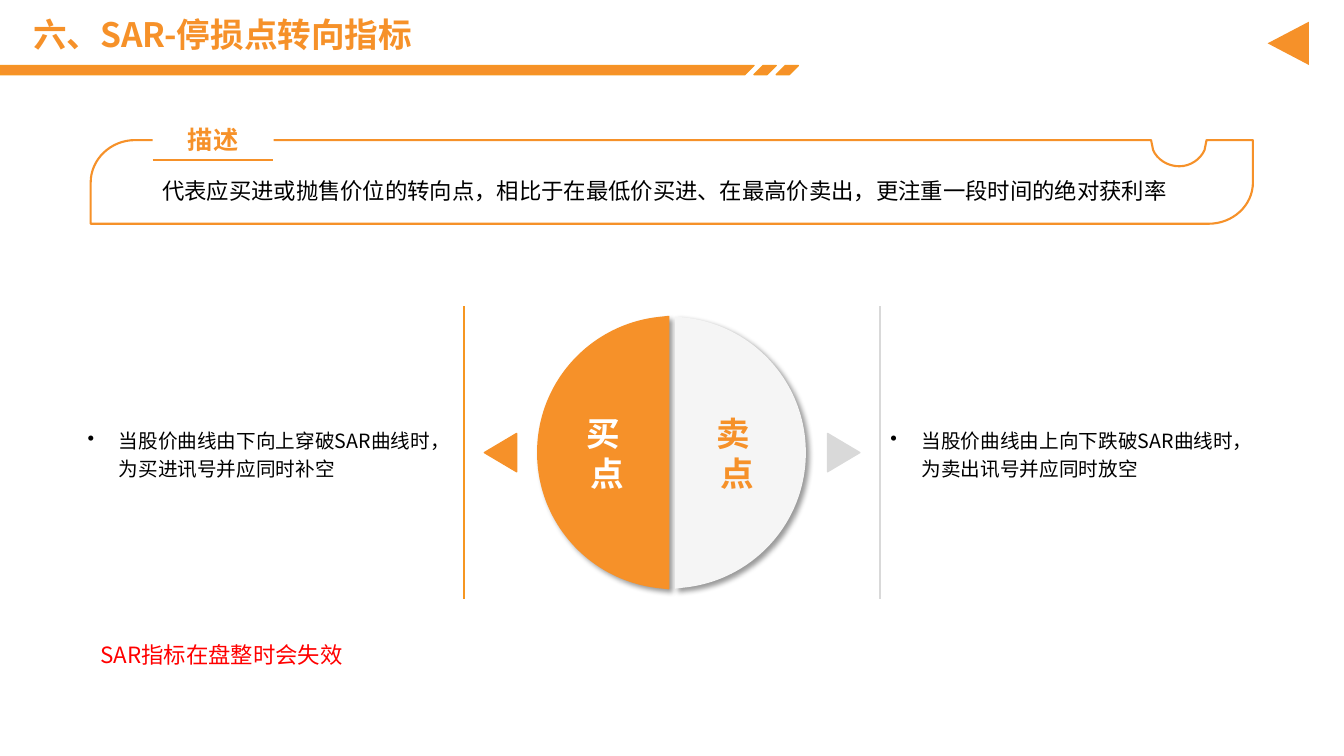
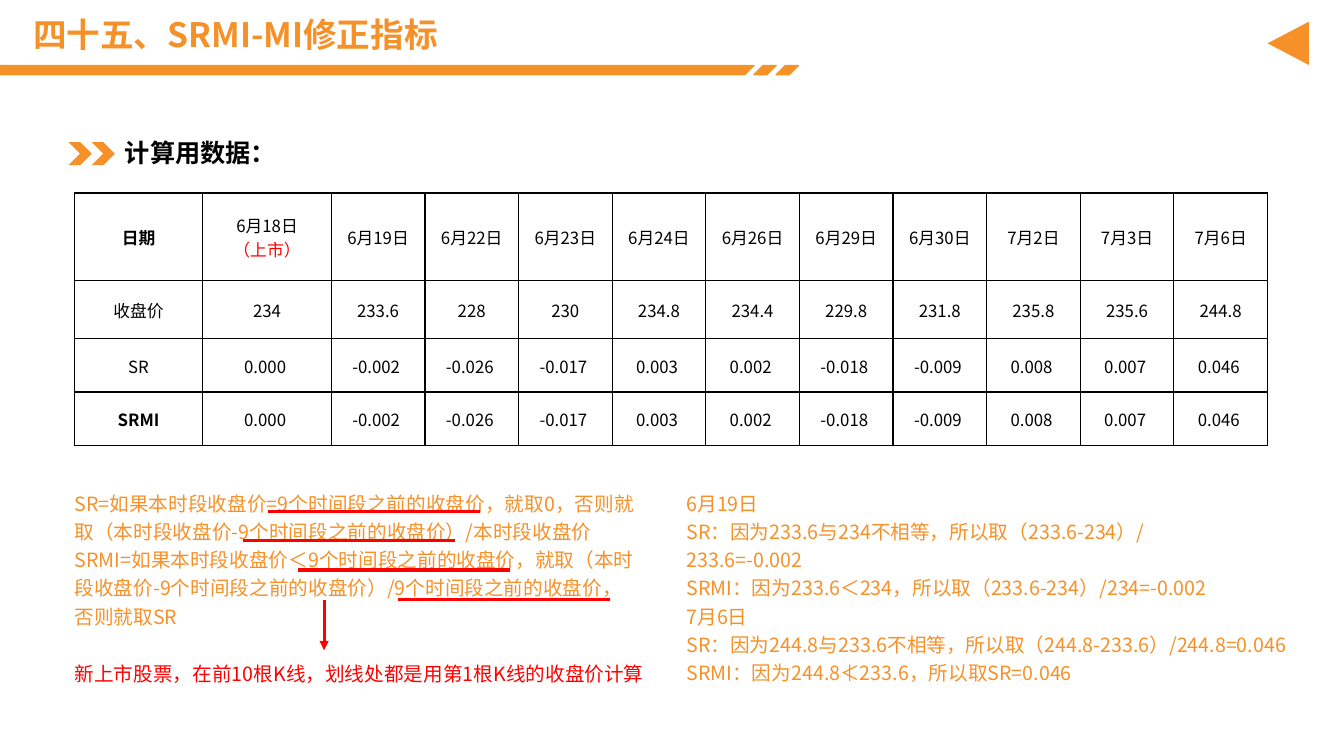
import pptx
import pptx.util
import pptx.dml.color
import pptx.enum.shapes
import pptx.enum.text
import pptx.oxml
import pptx.oxml.ns

RGB = pptx.dml.color.RGBColor
KIND = pptx.enum.shapes.MSO_SHAPE
ALIGN = pptx.enum.text.PP_ALIGN
ANCHOR = pptx.enum.text.MSO_ANCHOR

ORANGE = RGB(0xF6, 0x91, 0x29)
AMBER = RGB(0xF6, 0x96, 0x21)
WHITE = RGB(0xFF, 0xFF, 0xFF)
BLACK = RGB(0, 0, 0)
RED = RGB(0xFF, 0, 0)
PALE = RGB(0xF5, 0xF5, 0xF5)
GREY = RGB(0xD9, 0xD9, 0xD9)
FONT = "Noto Sans CJK SC"

COLS, ROWS = 133.33, 75
UNIT = pptx.util.Inches(0.1)
NS = pptx.oxml.ns.nsdecls("a")

TITLE = dict(size=24, color=ORANGE, bold=True)
HEAD = dict(size=18, color=BLACK, bold=True)
BODY = dict(size=16, color=BLACK, bold=False)
ITEM = dict(size=14, color=BLACK, bold=False)
CELL = dict(size=12, color=BLACK, bold=False)
PLAIN = (1, 0.5, 1, 0.5)
SNUG = (1, 0.5, 1, 0.8)
NONE = (0, 0, 0, 0)
THIN = (0.1, 0.1, 0.1, 0)
SIDE = ("margin_left", "margin_top", "margin_right", "margin_bottom")

ABOUT = "代表应买进或抛售价位的转向点，相比于在最低价买进、在最高价卖出，更注重一段时间的绝对获利率"
FRAME = [(13.4, 13.9), (114.2, 13.9), (114.4, 14.9),
         (114.8, 15.8, 115.8, 16.5, 117, 16.5),
         (118.1, 16.5, 119.1, 15.8, 119.5, 14.9), (119.7, 13.9),
         (124.3, 13.9), (124.3, 18.1), (124.3, 20.4, 122.3, 22.2, 119.9, 22.2),
         (9, 22.2), (9, 18.1), (9, 15.8, 11, 13.9, 13.4, 13.9)]
HALF = [(0, -13.5), (0, 13.5), (0.9, 13.4),
        (7.7, 12.7, 13, 7, 13, 0), (13, -7, 7.7, -12.7, 0.9, -13.4)]
SIDES = [
    dict(label=["买 ", "点"], ink=WHITE, fill=ORANGE, edge=ORANGE, mid=66.35,
         turn=-1, word=54.25, tip=47.75, rot=270, mark=ORANGE, rule=46.05,
         bar=AMBER, note=7.7, text="当股价曲线由下向上穿破SAR曲线时，为买进讯号并应同时补空"),
    dict(label=["卖 ", "点"], ink=ORANGE, fill=PALE, edge=None, mid=66.95,
         turn=1, word=67.15, tip=81.8, rot=90, mark=GREY, rule=87.3,
         bar=GREY, note=87.35, text="当股价曲线由上向下跌破SAR曲线时，为卖出讯号并应同时放空"),
]
WARN = "SAR指标在盘整时会失效"

DAYS = ["6月19日", "6月22日", "6月23日", "6月24日", "6月26日", "6月29日",
        "6月30日", "7月2日", "7月3日", "7月6日"]
RATES = ["0.000 ", "-0.002 ", "-0.026 ", "-0.017 ", "0.003 ", "0.002 ",
         "-0.018 ", "-0.009 ", "0.008 ", "0.007 ", "0.046 "]
BOLD = dict(bold=True)
DATA = [
    [[("日期", BOLD)], ["6月18日", ("（上市）", dict(color=RED))], *DAYS],
    ["收盘价", "234", "233.6", "228", "230", "234.8", "234.4", "229.8",
     "231.8", "235.8", "235.6", "244.8"],
    ["SR", *RATES],
    [[("SRMI", BOLD)], *RATES],
]
HIGH = [8.7, 5.75, 5.3, 5.3]
LEAD = 12.75
NOTES = [
    ((7.4, 48.3, 55.9, 13.8), ORANGE, [
        "SR=如果本时段收盘价=9个时间段之前的收盘价，就取0，否则就取（本时段收盘价-9个时间段之前的收盘价）/本时段收盘价",
        "SRMI=如果本时段收盘价＜9个时间段之前的收盘价，就取（本时段收盘价-9个时间段之前的收盘价）/9个时间段之前的收盘价，否则就取SR"]),
    ((68.1, 48.3, 56.8, 8.1), ORANGE, [
        "6月19日",
        "SR：因为233.6与234不相等，所以取（233.6-234）/233.6=-0.002",
        "SRMI：因为233.6＜234，所以取（233.6-234）/234=-0.002"]),
    ((7.4, 65.2, 56.8, 2.5), RED, [
        "新上市股票，在前10根K线，划线处都是用第1根K线的收盘价计算"]),
    ((68.1, 59.5, 60.9, 8.1), ORANGE, [
        "7月6日",
        "SR：因为244.8与233.6不相等，所以取（244.8-233.6）/244.8=0.046",
        "SRMI：因为244.8≮233.6，所以取SR=0.046"]),
]
MARKS = [26.6, 24.1, 29.6, 39.5]


def emu(*vals):
    return [round(v * UNIT) for v in vals]


def put(obj, vals):
    for key, val in vals.items():
        setattr(obj, key, val)


def write(frame, paras, style, align=ALIGN.LEFT, gap=None, dot=False):
    for num, para in enumerate(paras):
        text, more = (para, {}) if isinstance(para, str) else para
        look = {**style, **more}
        line = frame.paragraphs[0] if num == 0 else frame.add_paragraph()
        if dot:
            prop = line._p.get_or_add_pPr()
            dent = str(emu(3.1)[0])
            prop.set("marL", dent)
            prop.set("indent", "-" + dent)
            prop.append(pptx.oxml.parse_xml(f'<a:buChar {NS} char="•"/>'))
        put(line, dict(alignment=align, line_spacing=gap))
        run = line.add_run()
        run.text = text
        put(run.font, dict(name=FONT, size=pptx.util.Pt(look["size"]), bold=look["bold"]))
        run.font.color.rgb = look["color"]
        run._r.get_or_add_rPr().append(
            pptx.oxml.parse_xml(f'<a:ea {NS} typeface="{FONT}"/>'))


def fit(frame, pad, anchor):
    put(frame, dict(zip(SIDE, emu(*pad))))
    put(frame, dict(word_wrap=True, vertical_anchor=anchor))


def label(page, at, paras, style, pad=PLAIN, anchor=ANCHOR.MIDDLE, **more):
    frame = page.shapes.add_textbox(*emu(*at)).text_frame
    fit(frame, pad, anchor)
    write(frame, paras, style, **more)


def paint(form, fill, edge=None, wide=1):
    form.shadow.inherit = False
    if fill is None:
        form.fill.background()
    else:
        form.fill.solid()
        form.fill.fore_color.rgb = fill
    if edge is None:
        form.line.fill.background()
    else:
        form.line.color.rgb = edge
        form.line.width = pptx.util.Pt(wide)
    return form


def shape(page, kind, at, fill, edge=None, rot=0):
    form = paint(page.shapes.add_shape(kind, *emu(*at)), fill, edge)
    form.rotation = rot
    return form


def trace(page, parts, *look):
    dots = [emu(*part[n:n + 2]) for part in parts for n in range(0, len(part), 2)]
    pen = page.shapes.build_freeform(*dots[0], scale=1.0)
    pen.add_line_segments(dots[1:], close=True)
    form = pen.convert_to_shape()
    legs = iter(list(form._element.iter(pptx.oxml.ns.qn("a:lnTo"))))
    for part in parts[1:]:
        leg = next(legs)
        if len(part) == 6:
            bend = pptx.oxml.parse_xml(f"<a:cubicBezTo {NS}/>")
            leg.addprevious(bend)
            for old in (leg, next(legs), next(legs)):
                bend.append(old[0])
                old.getparent().remove(old)
    return paint(form, *look)


def rule(page, x1, y1, x2, y2, color, wide=1.5, arrow=False):
    kind = pptx.enum.shapes.MSO_CONNECTOR.STRAIGHT
    line = page.shapes.add_connector(kind, *emu(x1, y1, x2, y2))
    line.line.color.rgb = color
    line.line.width = pptx.util.Pt(wide)
    if arrow:
        line.line._get_or_add_ln().append(
            pptx.oxml.parse_xml(f'<a:tailEnd {NS} type="triangle"/>'))
    line._element.spPr.append(pptx.oxml.parse_xml(f"<a:effectLst {NS}/>"))


def shade(form):
    prop = form._element.spPr
    prop.remove(prop.find(pptx.oxml.ns.qn("a:effectLst")))
    blur, dist = pptx.util.Pt(4), pptx.util.Pt(3)
    prop.append(pptx.oxml.parse_xml(
        f'<a:effectLst {NS}><a:outerShdw blurRad="{blur}" dist="{dist}" dir="2700000" '
        'algn="tl" rotWithShape="0"><a:srgbClr val="000000"><a:alpha val="40000"/>'
        "</a:srgbClr></a:outerShdw></a:effectLst>"))


def start(deck, title):
    page = deck.slides.add_slide(deck.slide_layouts[6])
    top, low, slant, step = 6.5, 7.4, 0.9, 2.2
    trace(page, [(0, top), (74.8, top), (74.8 - slant, low), (0, low)], ORANGE, AMBER)
    for x in (74.8, 74.8 + step):
        trace(page, [(x + slant, top), (x + step, top), (x + step - slant, low), (x, low)],
              ORANGE, AMBER)
    label(page, (2.3, 1.5, 121.9, 4.3), [title], TITLE, gap=0.9)
    shape(page, KIND.ISOSCELES_TRIANGLE, (125.65, 2.25, 4.3, 4.1), ORANGE, rot=270)
    return page


def points(deck):
    page = start(deck, "六、SAR-停损点转向指标")
    label(page, (15.1, 17.35, 107.2, 3.4), [ABOUT], BODY, SNUG)
    trace(page, FRAME, None, ORANGE, 1.5)
    tag = shape(page, KIND.RECTANGLE, (15.15, 11.65, 12, 4.3), WHITE).text_frame
    fit(tag, PLAIN, ANCHOR.MIDDLE)
    write(tag, ["描述"], {**HEAD, "color": ORANGE}, ALIGN.CENTER)
    rule(page, 15.15, 15.9, 27.1, 15.9, ORANGE)
    for side in SIDES:
        bow = [tuple(side["mid"] + side["turn"] * v if n % 2 == 0 else 44.9 + v
                     for n, v in enumerate(part)) for part in HALF]
        shade(trace(page, bow, side["fill"], side["edge"]))
        label(page, (side["word"], 39.9, 12, 10.1), side["label"],
              {**TITLE, "color": side["ink"]}, align=ALIGN.CENTER)
        shape(page, KIND.ISOSCELES_TRIANGLE, (side["tip"], 43.3, 3.8, 3.2),
              side["mark"], side["mark"], side["rot"])
        rule(page, side["rule"], 30.4, side["rule"], 59.4, side["bar"])
        label(page, (side["note"], 30.1, 38.2, 29.6), [side["text"]], ITEM,
              gap=1.2, dot=True)
    label(page, (9, 63.4, 113.4, 3.4), [WARN], {**BODY, "color": RED}, SNUG)


def grid(page, x, y, wide):
    count = len(DATA[0])
    table = page.shapes.add_table(
        len(DATA), count, *emu(x, y, wide, sum(HIGH))).table
    put(table, dict(first_row=False, horz_banding=False))
    rest = (wide - 2 * LEAD) / (count - 2)
    for num, col in enumerate(table.columns):
        col.width = emu(LEAD if num < 2 else rest)[0]
    for row, high, vals in zip(table.rows, HIGH, DATA):
        row.height = emu(high)[0]
        for cell, val in zip(row.cells, vals):
            prop = cell._tc.get_or_add_tcPr()
            for edge in "LRTB":
                prop.append(pptx.oxml.parse_xml(
                    f'<a:ln{edge} {NS} w="12700"><a:solidFill><a:srgbClr val="{BLACK}"/>'
                    f"</a:solidFill></a:ln{edge}>"))
            cell.fill.background()
            put(cell, dict(zip(SIDE, emu(*THIN))))
            cell.vertical_anchor = ANCHOR.MIDDLE
            write(cell.text_frame, [val] if isinstance(val, str) else val,
                  CELL, ALIGN.CENTER)


def figures(deck):
    page = start(deck, "四十五、SRMI-MI修正指标")
    for num in range(2):
        shape(page, KIND.CHEVRON, (6.8 + 2.3 * num, 14.1, 2.3, 2.3), ORANGE)
    label(page, (11.4, 13.55, 20.6, 3.4), ["计算用数据："], HEAD, SNUG)
    grid(page, 7.37, 19.15, 118.4)
    for at, ink, paras in NOTES:
        label(page, at, paras, {**ITEM, "color": ink}, NONE, ANCHOR.TOP, gap=1.2)
    for num, x in enumerate(MARKS):
        y = 50.75 + 2.9 * num
        rule(page, x, y, x + 21, y, RED, 2.25)
    rule(page, 32.15, 59.5, 32.15, 64.5, RED, 2.25, arrow=True)


def main():
    deck = pptx.Presentation()
    put(deck, dict(zip(("slide_width", "slide_height"), emu(COLS, ROWS))))
    points(deck)
    figures(deck)
    deck.save("out.pptx")


if __name__ == "__main__":
    main()
